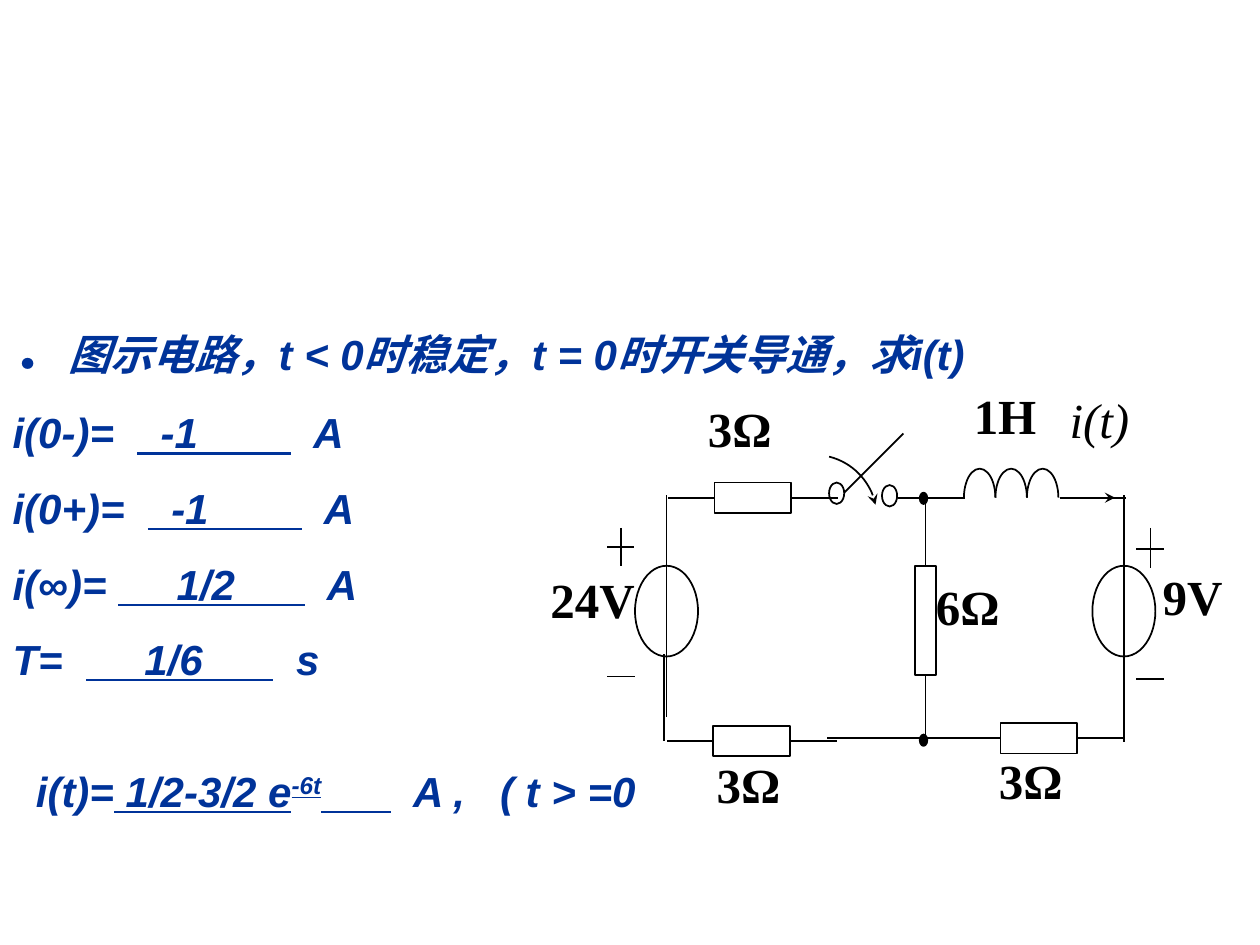
from lxml import etree
from pptx import Presentation
from pptx.dml.color import RGBColor
from pptx.enum import shapes, text
from pptx.oxml.ns import qn
from pptx.util import Inches, Pt

COLORS = {"title": "003399", "ink": "000000"}

# Question: one list per line, each piece is (text, style)
PLAIN, BLANK, DOT, POWER, END = "plain", "blank", "dot", "power", "end"
QUESTION = [
    [("．", DOT), ("图示电路，t < 0时稳定，t = 0时开关导通，求i(t)", PLAIN)],
    [("i(0-)=  ", PLAIN), ("  -1        ", BLANK), ("  A", PLAIN)],
    [("i(0+)=  ", PLAIN), ("  -1        ", BLANK), ("  A", PLAIN)],
    [("i(∞)= ", PLAIN), ("     1/2      ", BLANK), ("  A", PLAIN)],
    [("T=  ", PLAIN), ("     1/6      ", BLANK), ("  s", PLAIN)],
    [("  i(t)=", PLAIN), (" 1/2-3/2 e", BLANK), ("-6t", POWER),
     ("      ", BLANK), ("  A ,   ( t > =0", PLAIN), (" ", END)],
]
SIZES = {DOT: 32, END: 44}

# Circuit labels: text, left, top, width, height
LABELS = [
    ("3Ω", 5.52, 3.11, 1.34, 0.8), ("1H", 7.63, 3.01, 1.01, 0.8),
    ("i(t)", 8.39, 3.04, 0.84, 0.9), ("24V", 4.27, 4.47, 1.01, 0.8),
    ("6Ω", 7.33, 4.53, 0.88, 0.8), ("9V", 9.13, 4.45, 0.87, 0.79),
    ("3Ω", 5.59, 5.94, 1.34, 0.8), ("3Ω", 7.83, 5.91, 1.01, 0.8),
]
# Resistors: left, top, width, height, and where the two leads end
RESISTORS = [
    (5.67, 3.83, 0.61, 0.24, 5.3, 6.65),
    (5.66, 5.76, 0.61, 0.24, 5.29, 6.64),
    (7.94, 5.74, 0.61, 0.24, 7.56, 8.91),
    (7.26, 4.49, 0.17, 0.87, 3.95, 5.89),
]
RINGS = [  # voltage sources, then switch contacts
    (5.04, 4.49, 0.5, 0.72), (8.67, 4.49, 0.5, 0.72),
    (6.58, 3.83, 0.12, 0.17), (7, 3.85, 0.12, 0.17),
]
NODES = [(7.3, 3.91), (7.3, 5.83)]
WIRES = [
    (5.29, 5.69, 5.29, 3.93), (5.27, 5.88, 5.27, 5.19),  # left branch
    (8.92, 5.69, 8.92, 3.93), (8.92, 5.17, 8.92, 5.89),  # right branch
    (7.13, 3.95, 7.66, 3.95), (8.41, 3.95, 8.94, 3.95),  # beside the coil
    (7.62, 5.86, 6.56, 5.86),                            # bottom
    (7.17, 3.44, 6.7, 3.91),                             # switch blade
    (4.82, 4.34, 5.03, 4.34), (4.93, 4.19, 4.93, 4.49),  # left plus
    (4.82, 5.37, 5.04, 5.37),                            # left minus
    (9.02, 4.36, 9.24, 4.36), (9.13, 4.19, 9.13, 4.51),  # right plus
    (9.02, 5.39, 9.24, 5.39),                            # right minus
]
COIL_LEFT, COIL_TOP, TURN_W, TURN_H, TURNS = 7.65, 3.72, 0.25, 0.46, 3


def rgb(name):
    return RGBColor.from_string(COLORS[name])


def ink_line(sp, width=1, arrow=False):
    sp.line.color.rgb = rgb("ink")
    sp.line.width = Pt(width)
    if arrow:
        etree.SubElement(sp.line._get_or_add_ln(), qn("a:tailEnd"), type="stealth")


def add_outline(s, kind, box, filled=False, arrow=False):
    sp = s.shapes.add_shape(kind, *map(Inches, box))
    sp.shadow.inherit = False
    if filled:
        sp.fill.solid()
        sp.fill.fore_color.rgb = rgb("ink")
    else:
        sp.fill.background()
    ink_line(sp, arrow=arrow)
    return sp


def add_arc(s, box, start, end, arrow=False):
    sp = add_outline(s, shapes.MSO_SHAPE.ARC, box, arrow=arrow)
    for i, degrees in enumerate((start, end)):
        sp.adjustments[i] = degrees * 0.6


def add_wire(s, x1, y1, x2, y2, width=1, arrow=False):
    line = s.shapes.add_connector(shapes.MSO_CONNECTOR.STRAIGHT,
                                  *map(Inches, (x1, y1, x2, y2)))
    ink_line(line, width, arrow)
    etree.SubElement(line._element.spPr, qn("a:effectLst"))
    return line


def add_resistor(s, left, top, w, h, start, end):
    sp = add_outline(s, shapes.MSO_SHAPE.RECTANGLE, (left, top, w, h))
    x, y = left + w / 2, top + h / 2
    if w > h:
        leads = [(1, left, y, start, y), (3, left + w, y, end, y)]
    else:
        leads = [(0, x, top, x, start), (2, x, top + h, x, end)]
    for site, *points in leads:
        add_wire(s, *points).begin_connect(sp, site)


def add_label(s, label, *box):
    tf = s.shapes.add_textbox(*map(Inches, box)).text_frame
    tf.word_wrap = True
    p = tf.paragraphs[0]
    p.text = label
    p.alignment = text.PP_ALIGN.JUSTIFY
    f = p.runs[0].font
    f.name, f.size, f.color.rgb = "Times New Roman", Pt(28), rgb("ink")
    f.italic = label == "i(t)"
    f.bold = not f.italic


def fill_question(title):
    title.left, title.top, title.width, title.height = map(
        Inches, (0, 4.13, 9.77, 0.5))
    tf = title.text_frame
    tf.word_wrap = True
    tf.auto_size = text.MSO_AUTO_SIZE.NONE
    tf.vertical_anchor = text.MSO_ANCHOR.MIDDLE
    p = tf.paragraphs[0]
    p.alignment = text.PP_ALIGN.LEFT
    p.line_spacing = 1.5
    for i, pieces in enumerate(QUESTION):
        if i:
            p.add_line_break()
        for piece, style in pieces:
            r = p.add_run()
            r.text = piece
            f = r.font
            f.name, f.size = "Arial", Pt(SIZES.get(style, 24))
            f.color.rgb = rgb("title")
            f.bold = style != END
            f.italic = style not in (DOT, END)
            f.underline = style in (BLANK, POWER)
            if style == POWER:
                f._element.set("baseline", "30000")
    # Keep the breaks at the text size
    for br in p._p.findall(qn("a:br")):
        etree.SubElement(br, qn("a:rPr"), sz="2400")


def main():
    prs = Presentation()
    prs.slide_width, prs.slide_height = Inches(10), Inches(7.5)
    s = prs.slides.add_slide(prs.slide_layouts[5])
    fill_question(s.shapes.title)

    # Circuit
    for resistor in RESISTORS:
        add_resistor(s, *resistor)
    for wire in WIRES:
        add_wire(s, *wire)
    for ring in RINGS:
        add_outline(s, shapes.MSO_SHAPE.OVAL, ring)
    for x, y in NODES:
        add_outline(s, shapes.MSO_SHAPE.FLOWCHART_CONNECTOR,
                    (x, y, 0.06, 0.09), filled=True)
    for i in range(TURNS):
        add_arc(s, (COIL_LEFT + i * TURN_W, COIL_TOP, TURN_W, TURN_H), 180, 0)

    # Closing direction of the switch, current direction
    add_arc(s, (5.96, 3.61, 1, 1), 284, 348, arrow=True)
    add_wire(s, 8.52, 3.95, 8.85, 3.95, width=0.75, arrow=True)

    for label in LABELS:
        add_label(s, *label)
    prs.save("out.pptx")


if __name__ == "__main__":
    main()
